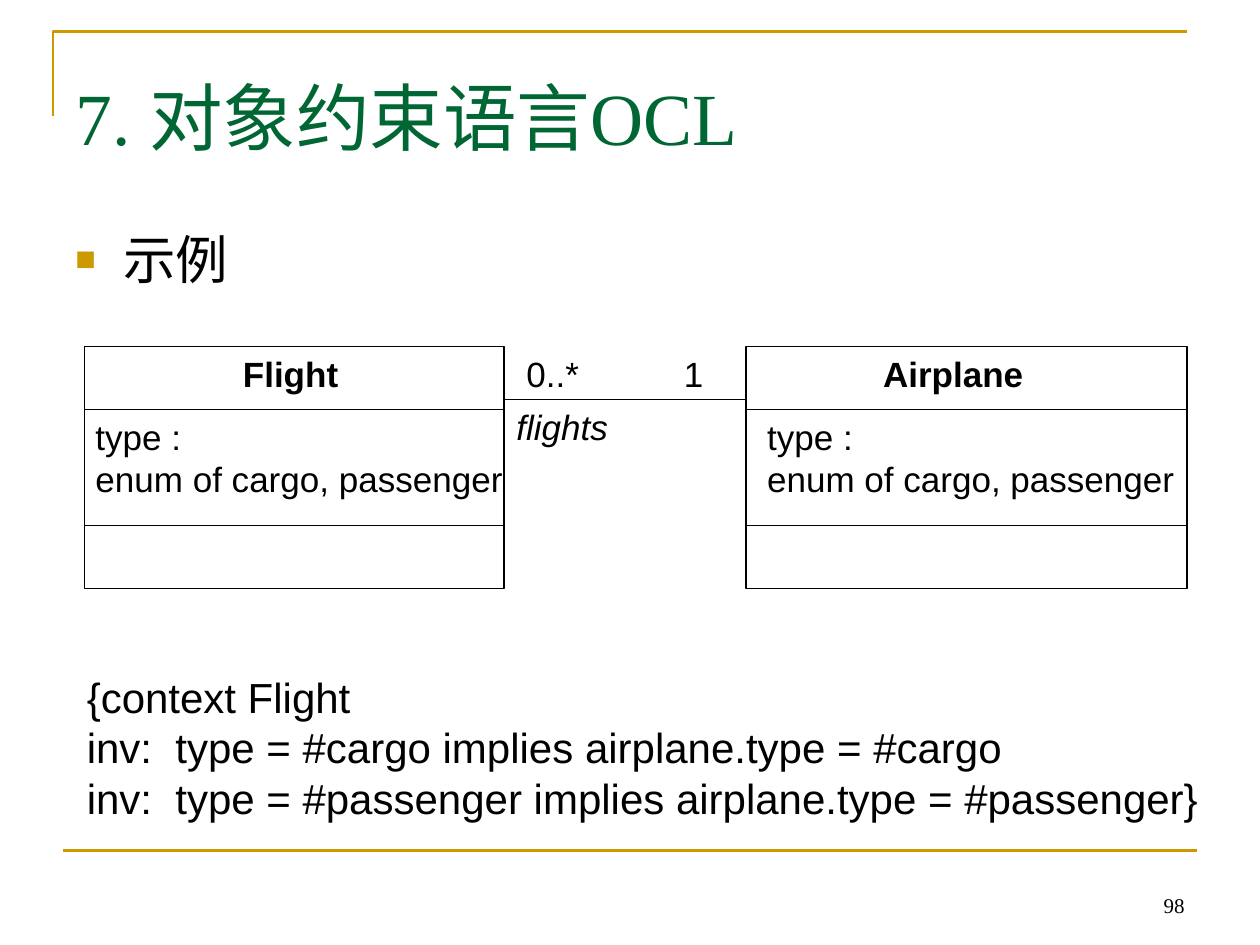
"""Build the slide on the OCL example with the Flight and Airplane classes."""
import pptx
import pptx.dml.color
import pptx.enum.shapes
import pptx.enum.text
import pptx.oxml.ns
import pptx.util
from lxml import etree

Inches = pptx.util.Inches
Pt = pptx.util.Pt
RGBColor = pptx.dml.color.RGBColor
Anchor = pptx.enum.text.MSO_ANCHOR
Align = pptx.enum.text.PP_ALIGN
qn = pptx.oxml.ns.qn

GOLD = RGBColor(0xCC, 0x99, 0x00)
GREEN = RGBColor(0x00, 0x66, 0x33)
BLACK = RGBColor(0x00, 0x00, 0x00)
SERIF, SANS = "Times New Roman", "Arial"

TITLE = "7. 对象约束语言OCL"
TOPIC = "示例"
PAGE_NUMBER = "98"
ATTRIBUTES = ["type :", "enum of cargo, passenger"]
CONSTRAINT = [
    "{context Flight",
    "inv:  type = #cargo implies airplane.type = #cargo",
    "inv:  type = #passenger implies airplane.type = #passenger}",
]
CLASSES = [
    {"name": "Flight", "left": 0.67, "width": 3.33,
     "name_at": (1.83, 0.96), "attributes_left": 0.66},
    {"name": "Airplane", "left": 5.92, "width": 3.5,
     "name_at": (6.91, 1.32), "attributes_left": 5.99},
]
ASSOCIATION = [
    ("0..*", 4.08, 2.75, 0.62, False),
    ("1", 5.33, 2.75, 0.36, False),
    ("flights", 4, 3.17, 0.93, True),
]
CLASS_TOP, CLASS_HEIGHT = 2.75, 1.92
DIVIDERS = (3.25, 4.17)
LINK_Y = 3.17
LABEL_HEIGHT = 0.43


def write(frame, lines, size, color=BLACK, font=SANS, bold=False, italic=False):
    for index, line in enumerate(lines):
        para = frame.paragraphs[0] if index == 0 else frame.add_paragraph()
        span = para.add_run()
        span.text = line
        span.font.size = Pt(size)
        span.font.name = font
        span.font.color.rgb = color
        span.font.bold = bold
        span.font.italic = italic


def add_text(page, lines, left, top, width, height, size, wrap=False, **style):
    box = page.shapes.add_textbox(
        Inches(left), Inches(top), Inches(width), Inches(height))
    box.text_frame.word_wrap = wrap
    write(box.text_frame, lines, size, **style)
    return box


def add_line(page, left, right, y, color=BLACK, weight=1):
    line = page.shapes.add_connector(
        pptx.enum.shapes.MSO_CONNECTOR.STRAIGHT,
        Inches(left), Inches(y), Inches(right), Inches(y))
    line.line.color.rgb = color
    line.line.width = Pt(weight)
    etree.SubElement(line._element.spPr, qn("a:effectLst"))


def add_frame(page):
    builder = page.shapes.build_freeform(Inches(0.42), Inches(0.92))
    builder.add_line_segments(
        [(Inches(0.42), Inches(0.25)), (Inches(9.42), Inches(0.25))], close=False)
    corner = builder.convert_to_shape()
    corner.shadow.inherit = False
    corner.fill.background()
    corner.line.color.rgb = GOLD
    corner.line.width = Pt(1.5)
    add_line(page, 0.5, 9.5, 6.75, GOLD, 1.5)
    number = add_text(page, [PAGE_NUMBER], 7.17, 6.83, 2.33, 0.5, 12,
                      wrap=True, font=SERIF)
    number.text_frame.vertical_anchor = Anchor.BOTTOM
    number.text_frame.paragraphs[0].alignment = Align.RIGHT


def add_title(page):
    title = page.shapes.title
    title.left, title.top = Inches(0.5), Inches(0.3)
    title.width, title.height = Inches(9), Inches(1.25)
    frame = title.text_frame
    frame.auto_size = pptx.enum.text.MSO_AUTO_SIZE.NONE
    frame.vertical_anchor = Anchor.MIDDLE
    write(frame, [TITLE], 42, color=GREEN, font=SERIF)
    frame.paragraphs[0].alignment = Align.LEFT


def add_topic(page):
    box = add_text(page, [TOPIC], 0.5, 1.75, 9, 0.7, 30, wrap=True)
    properties = box.text_frame.paragraphs[0]._p.get_or_add_pPr()
    properties.set("marL", str(Inches(0.38)))
    properties.set("indent", str(-Inches(0.38)))
    color = etree.SubElement(properties, qn("a:buClr"))
    etree.SubElement(color, qn("a:srgbClr"), val=str(GOLD))
    etree.SubElement(properties, qn("a:buSzPct"), val="65000")
    etree.SubElement(properties, qn("a:buFont"), typeface=SANS)
    etree.SubElement(properties, qn("a:buChar"), char="■")


def add_class(page, item):
    left, width = item["left"], item["width"]
    outline = page.shapes.add_shape(
        pptx.enum.shapes.MSO_SHAPE.RECTANGLE, Inches(left), Inches(CLASS_TOP),
        Inches(width), Inches(CLASS_HEIGHT))
    outline.shadow.inherit = False
    outline.fill.background()
    outline.line.color.rgb = BLACK
    outline.line.width = Pt(1)
    for y in DIVIDERS:
        add_line(page, left, left + width, y)
    name_left, name_width = item["name_at"]
    add_text(page, [item["name"]], name_left, CLASS_TOP, name_width,
             LABEL_HEIGHT, 20, bold=True)
    add_text(page, ATTRIBUTES, item["attributes_left"], DIVIDERS[0], 3.44, 0.77, 20)


def main():
    deck = pptx.Presentation()
    deck.slide_width, deck.slide_height = Inches(10), Inches(7.5)
    page = deck.slides.add_slide(deck.slide_layouts[5])
    add_frame(page)
    add_title(page)
    add_topic(page)
    add_text(page, CONSTRAINT, 0.59, 5.28, 9.02, 1.3, 24)
    flight, airplane = CLASSES
    add_line(page, flight["left"] + flight["width"], airplane["left"], LINK_Y)
    for label, left, top, width, italic in ASSOCIATION:
        add_text(page, [label], left, top, width, LABEL_HEIGHT, 20, italic=italic)
    for item in CLASSES:
        add_class(page, item)
    deck.save("out.pptx")


if __name__ == "__main__":
    main()
